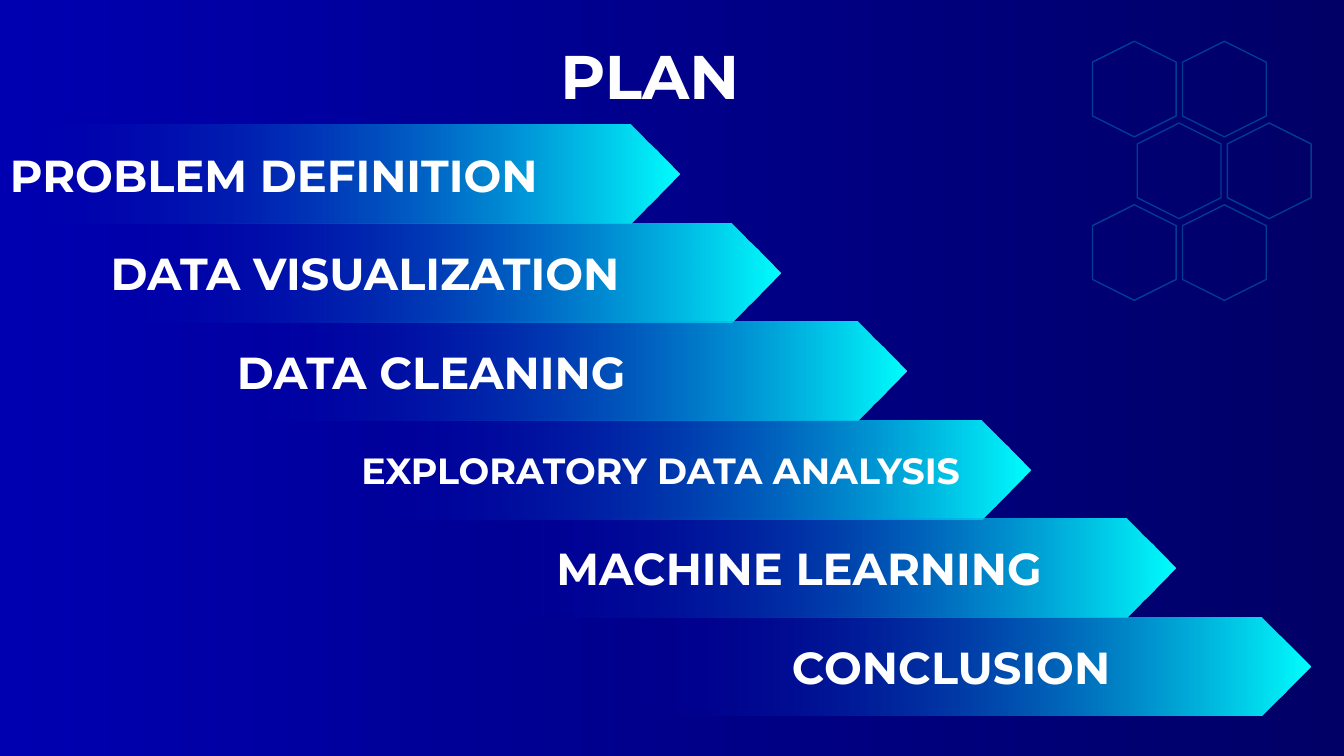
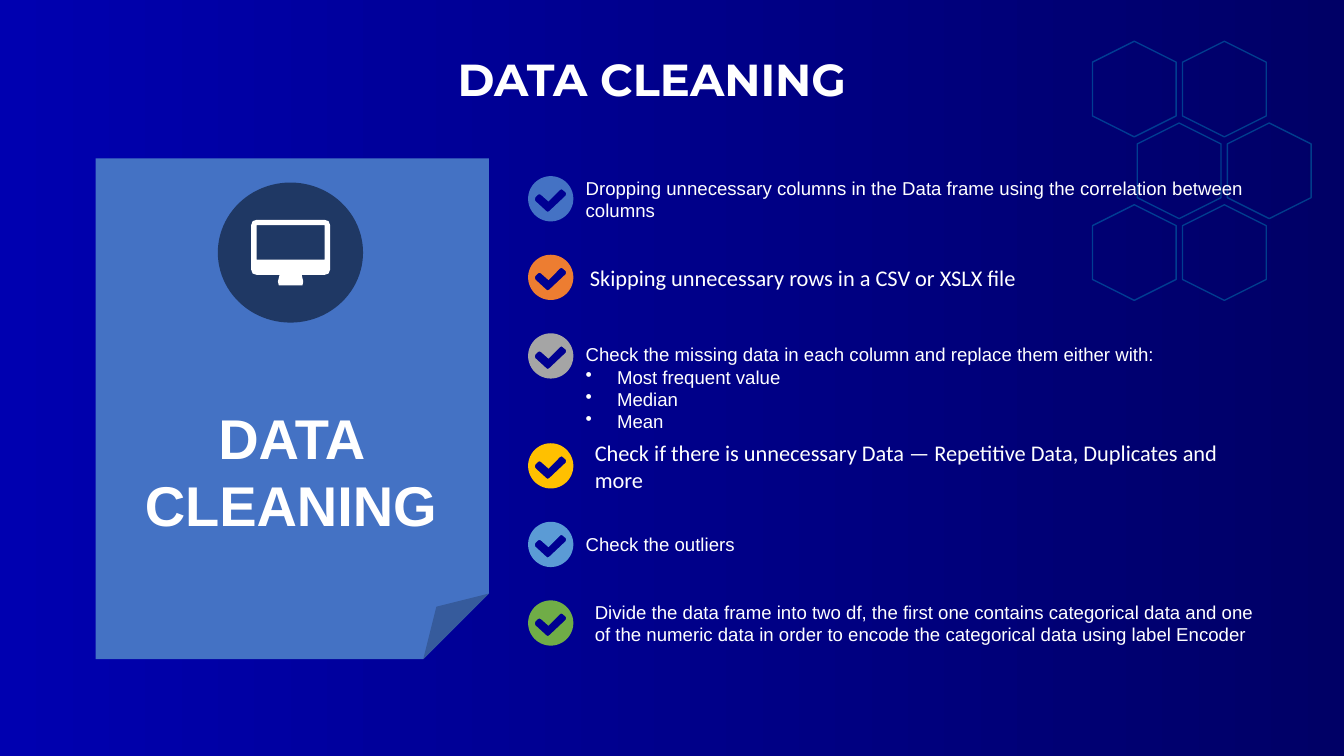
"""Build two slides of a data science deck: the plan and the data cleaning steps."""
import math
from dataclasses import dataclass

from lxml import etree
from pptx import Presentation
from pptx import util as u
from pptx.dml.color import RGBColor
from pptx.enum import shapes, text
from pptx.oxml.ns import qn


@dataclass(frozen=True)
class Theme:
    """Colours, fonts and type sizes of the deck."""
    back_left: str = "0000B0"
    back_right: str = "000066"
    accent: str = "00FFFF"
    white: str = "FFFFFF"
    card: str = "4472C4"
    badge: str = "1F3864"
    checks: tuple = ("4472C4", "ED7D31", "A5A5A5", "FFC000", "5B9BD5", "70AD47")
    heading_font: str = "Montserrat"
    body_font: str = "Arial"
    note_font: str = "Calibri"
    title_size: float = 44
    heading_size: float = 32
    small_heading_size: float = 26
    card_size: float = 40
    note_size: float = 16
    body_size: float = 13.3


@dataclass(frozen=True)
class Box:
    """A rectangle measured in centimetres."""
    left: float
    top: float
    width: float
    height: float

    def place(self):
        """Return the rectangle as slide lengths."""
        return [u.Cm(value) for value in (self.left, self.top, self.width, self.height)]

    def inside(self, left, top, width, height):
        """Return a box positioned from this box's top left corner."""
        return Box(self.left + left, self.top + top, width, height)


THEME = Theme()

PLAN_STEPS = (
    ("PROBLEM DEFINITION", 0, {}),
    ("DATA VISUALIZATION", 2.54, {}),
    ("DATA CLEANING", 5.72, {}),
    ("EXPLORATORY DATA ANALYSIS", 8.86, {"size": THEME.small_heading_size}),
    ("MACHINE LEARNING", 12.5, {"indent": 1.27}),
    ("CONCLUSION", 15.9, {"margin": 2.54, "indent": 1.27}),
)

NOTE = {"font": THEME.note_font, "size": THEME.note_size}
CENTERED_NOTE = {**NOTE, "align": text.PP_ALIGN.CENTER}
CLEANING_STEPS = (
    ("Dropping unnecessary columns in the Data frame using the correlation between columns",
     (1.45, 0, 16.69, 1.14), {}),
    ("Skipping unnecessary rows in a CSV or XSLX file", (-1.42, 0, 16.69, 1.14), CENTERED_NOTE),
    ("Check the missing data in each column and replace them either with:",
     (1.45, 0.23, 16.69, 2.29), {"bullets": ("Most frequent value", "Median", "Mean")}),
    ("Check if there is unnecessary Data — Repetitive Data, Duplicates and more",
     (1.68, 0, 16.23, 1.14), NOTE),
    ("Check the outliers", (1.45, 0, 16.69, 1.14), {}),
    ("Divide the data frame into two df, the first one contains categorical data and one "
     "of the numeric data in order to encode the categorical data using label Encoder",
     (1.68, 0, 16.69, 1.14), {}),
)

CIRCLE = [(0.5 + 0.5 * math.cos(math.tau * step / 72), 0.5 + 0.5 * math.sin(math.tau * step / 72))
          for step in range(72)]
CHECK = [(0.83, 0.36), (0.76, 0.3), (0.73, 0.29), (0.7, 0.31), (0.45, 0.56), (0.28, 0.41),
         (0.25, 0.4), (0.22, 0.41), (0.16, 0.47), (0.15, 0.51), (0.16, 0.55), (0.4, 0.77),
         (0.43, 0.79), (0.47, 0.77), (0.83, 0.43), (0.84, 0.39)]
MONITOR = [(0.07, 0), (0.93, 0), (0.98, 0.02), (1, 0.08), (1, 0.76), (0.98, 0.82), (0.93, 0.84),
           (0.64, 0.84), (0.66, 0.94), (0.65, 1), (0.35, 1), (0.34, 0.94), (0.36, 0.84),
           (0.07, 0.84), (0.02, 0.82), (0, 0.76), (0, 0.08), (0.02, 0.02)]
SCREEN = [(0.07, 0.08), (0.93, 0.08), (0.93, 0.61), (0.07, 0.61)]


def rgb(value):
    """Turn a hex string into a colour."""
    return RGBColor.from_string(value)


def set_alpha(element, percent):
    """Set the opacity of the first colour inside an element."""
    colour = next(element.iter(qn("a:srgbClr")))
    etree.SubElement(colour, qn("a:alpha")).set("val", str(percent * 1000))


def fill_gradient(fill, first, last):
    """Fill from left to right between two colours."""
    fill.gradient()
    fill.gradient_angle = 0
    for stop, colour in zip(fill.gradient_stops, (first, last)):
        stop.color.rgb = rgb(colour)


def fill_plain(shape, colour):
    """Give a shape a flat fill without line or shadow."""
    shape.shadow.inherit = False
    shape.fill.solid()
    shape.fill.fore_color.rgb = rgb(colour)
    shape.line.fill.background()


def add_bullet(paragraph):
    """Give a paragraph a white hanging bullet."""
    properties = paragraph._p.get_or_add_pPr()
    properties.set("marL", str(u.Cm(0.79)))
    properties.set("indent", str(u.Cm(-0.79)))
    colour = etree.SubElement(properties, qn("a:buClr"))
    etree.SubElement(colour, qn("a:srgbClr")).set("val", THEME.white)
    etree.SubElement(properties, qn("a:buChar")).set("char", "•")


def write_text(frame, words, *, font=THEME.body_font, size=THEME.body_size, bold=False,
               align=text.PP_ALIGN.LEFT, anchor=text.MSO_ANCHOR.MIDDLE, inset=True,
               spacing=None, margin=0, indent=0, bullets=()):
    """Write a paragraph and its bullets into a text frame."""
    frame.word_wrap = True
    frame.auto_size = text.MSO_AUTO_SIZE.NONE
    frame.vertical_anchor = anchor
    frame.margin_left = frame.margin_right = u.Cm(0.25 if inset else 0)
    frame.margin_top = frame.margin_bottom = u.Cm(0.13 if inset else 0)
    for index, line in enumerate((words, *bullets)):
        paragraph = frame.add_paragraph() if index else frame.paragraphs[0]
        if index:
            add_bullet(paragraph)
        elif margin or indent:
            properties = paragraph._p.get_or_add_pPr()
            properties.set("marL", str(u.Cm(margin)))
            properties.set("indent", str(u.Cm(indent)))
        paragraph.alignment = align
        if spacing:
            paragraph.line_spacing = spacing
        run = paragraph.add_run()
        run.text = line
        run.font.name = font
        run.font.size = u.Pt(size)
        run.font.bold = bold
        run.font.color.rgb = rgb(THEME.white)


def write_heading(frame, words, *, size=THEME.heading_size, **options):
    """Write bold heading text into a text frame."""
    write_text(frame, words, font=THEME.heading_font, size=size, bold=True, **options)


def draw_outline(parent, contours, box, colour):
    """Draw a filled outline, with any further contours as holes."""
    left, top, width, height = box.place()
    builder = None
    for contour in contours:
        points = [(round(left + x * width), round(top + y * height)) for x, y in contour]
        if builder is None:
            builder = parent.build_freeform(*points[0])
        else:
            builder.move_to(*points[0])
        builder.add_line_segments(points[1:], close=True)
    fill_plain(builder.convert_to_shape(), colour)


def draw_honeycomb(slide, box):
    """Draw three staggered rows of two faint hexagons."""
    group = slide.shapes.add_group_shape()
    for row in range(3):
        for column in range(2):
            cell = box.inside(2.27 * column + 1.13 * (row % 2), 2.06 * row, 2.41, 2.11)
            hexagon = group.shapes.add_shape(shapes.MSO_SHAPE.HEXAGON, *cell.place())
            hexagon.rotation = 90
            hexagon.shadow.inherit = False
            hexagon.fill.background()
            hexagon.line.color.rgb = rgb(THEME.accent)
            hexagon.line.width = u.Pt(1)
            set_alpha(hexagon.line._ln, 24)


def start_slide(presentation, title, box, **options):
    """Add a titled slide with the shared honeycomb."""
    slide = presentation.slides.add_slide(presentation.slide_layouts[5])
    draw_honeycomb(slide, Box(27.38, 1.19, 5.81, 6.23))
    placeholder = slide.shapes.title
    placeholder.left, placeholder.top, placeholder.width, placeholder.height = box.place()
    write_heading(placeholder.text_frame, title, anchor=text.MSO_ANCHOR.TOP, **options)
    return slide


def draw_staircase(slide, box):
    """Draw the plan steps as descending arrows."""
    for row, (label, left, options) in enumerate(PLAN_STEPS):
        step = box.inside(left, 2.48 * row, 17.12, 2.49)
        arrow = slide.shapes.add_shape(shapes.MSO_SHAPE.PENTAGON, *step.place())
        fill_plain(arrow, THEME.accent)
        fill_gradient(arrow.fill, THEME.back_left, THEME.accent)
        set_alpha(arrow._element.spPr, 0)
        write_heading(arrow.text_frame, label, **options)


def draw_card(slide, box):
    """Draw the folded card with its monitor badge and heading."""
    card = slide.shapes.add_shape(shapes.MSO_SHAPE.FOLDED_CORNER, *box.place())
    fill_plain(card, THEME.card)
    caption = slide.shapes.add_textbox(*box.inside(0.97, 6.02, 7.9, 3.68).place())
    write_text(caption.text_frame, "DATA CLEANING", size=THEME.card_size, bold=True,
               align=text.PP_ALIGN.CENTER)
    group = slide.shapes.add_group_shape()
    badge_box = box.inside(3.08, 0.61, 3.66, 3.53)
    badge = group.shapes.add_shape(shapes.MSO_SHAPE.OVAL, *badge_box.place())
    fill_plain(badge, THEME.badge)
    draw_outline(group.shapes, (MONITOR, SCREEN), badge_box.inside(0.84, 0.94, 1.99, 1.65),
                 THEME.white)


def draw_checklist(slide, box):
    """Draw the cleaning steps, each beside a check mark."""
    for row, (words, offset, options) in enumerate(CLEANING_STEPS):
        extra = 0.79 if row > 2 else 0
        icon = box.inside(0, 1.98 * row + extra, 1.14, 1.14)
        draw_outline(slide.shapes, (CIRCLE, CHECK), icon, THEME.checks[row])
        note = slide.shapes.add_textbox(*icon.inside(*offset).place())
        write_text(note.text_frame, words, inset=False, **options)


def build_plan(presentation):
    """Build the plan slide."""
    slide = start_slide(presentation, "PLAN", Box(13.87, 1.04, 6.1, 1.32),
                        size=THEME.title_size, spacing=0.9)
    draw_staircase(slide, Box(0, 3.15, 33.02, 14.89))


def build_cleaning(presentation):
    """Build the data cleaning slide."""
    slide = start_slide(presentation, "DATA CLEANING", Box(11.28, 1.17, 21.11, 1.63))
    draw_checklist(slide, Box(13.31, 4.44, 18.37, 11.83))
    draw_card(slide, Box(2.41, 3.99, 9.91, 12.62))


def main():
    """Build and save the deck."""
    presentation = Presentation()
    presentation.slide_width = u.Cm(33.87)
    presentation.slide_height = u.Cm(19.05)
    fill_gradient(presentation.slide_master.background.fill, THEME.back_left, THEME.back_right)
    build_plan(presentation)
    build_cleaning(presentation)
    presentation.save("out.pptx")


if __name__ == "__main__":
    main()
